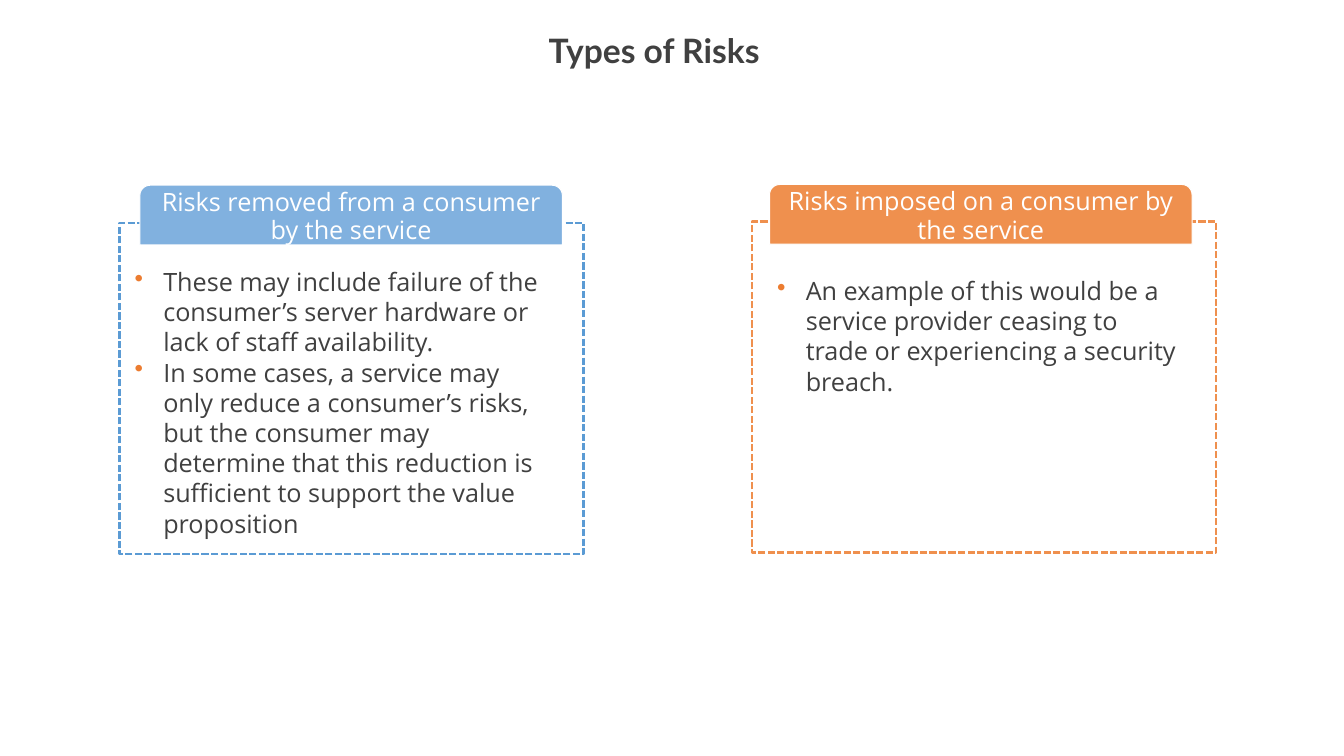
"""Build a slide comparing the two types of risk a service brings to a consumer."""
from dataclasses import dataclass

from lxml.etree import SubElement
from pptx import Presentation
from pptx.dml.color import RGBColor
from pptx.enum.dml import MSO_LINE
from pptx.enum.shapes import MSO_SHAPE
from pptx.enum.text import MSO_ANCHOR, PP_ALIGN
from pptx.oxml.ns import qn
from pptx.util import Inches, Pt


@dataclass(frozen=True)
class Theme:
    title_font: str = "Lato"
    body_font: str = "Open Sans"
    title_size: Pt = Pt(32)
    body_size: Pt = Pt(24)
    text: str = "404040"
    white: str = "FFFFFF"
    blue: str = "81B1DF"
    blue_line: str = "5B9BD4"
    orange: str = "EF904E"
    bullet: str = "EC7C30"


theme = Theme()


def style_paragraph(paragraph, name, size, color, bold=False):
    paragraph.font.name = name
    paragraph.font.size = size
    paragraph.font.bold = bold
    paragraph.font.color.rgb = RGBColor.from_string(color)


def prepare_frame(shape, side=0):
    frame = shape.text_frame
    frame.word_wrap = True
    frame.margin_top = frame.margin_bottom = 0
    frame.margin_left = frame.margin_right = Inches(side)
    return frame


presentation = Presentation()
presentation.slide_width = Inches(17.78)
presentation.slide_height = Inches(10)
slide = presentation.slides.add_slide(presentation.slide_layouts[6])

title = slide.shapes.add_textbox(Inches(7.26), Inches(0.4), Inches(3.26), Inches(0.56))
title_frame = prepare_frame(title)
title_frame.text = "Types of Risks"
style_paragraph(title_frame.paragraphs[0], theme.title_font, theme.title_size, theme.text, True)

panels = [
    {
        "heading": "Risks removed from a consumer by the service",
        "points": [
            "These may include failure of the consumer’s server hardware or lack of staff availability.",
            "In some cases, a service may only reduce a consumer’s risks, but the consumer may "
            "determine that this reduction is sufficient to support the value proposition",
        ],
        "fill": theme.blue,
        "line": theme.blue_line,
        "frame": (1.58, 2.95),
        "tab": (1.85, 2.45),
        "body": (1.77, 3.52, 5.4, 3.6),
    },
    {
        "heading": "Risks imposed on a consumer by the service",
        "points": [
            "An example of this would be a service provider ceasing to trade or experiencing "
            "a security breach.",
        ],
        "fill": theme.orange,
        "line": theme.orange,
        "frame": (9.95, 2.93),
        "tab": (10.18, 2.44),
        "body": (10.27, 3.64, 5.3, 1.6),
    },
]

for panel in panels:
    left, top = panel["frame"]
    border = slide.shapes.add_shape(
        MSO_SHAPE.RECTANGLE, Inches(left), Inches(top), Inches(6.14), Inches(4.38))
    border.shadow.inherit = False
    border.fill.background()
    border.line.color.rgb = RGBColor.from_string(panel["line"])
    border.line.width = Pt(2.28)
    border.line.dash_style = MSO_LINE.SQUARE_DOT

    left, top = panel["tab"]
    tab = slide.shapes.add_shape(
        MSO_SHAPE.ROUND_2_SAME_RECTANGLE, Inches(left), Inches(top), Inches(5.59), Inches(0.79))
    tab.adjustments[0] = 0.17
    tab.shadow.inherit = False
    tab.fill.solid()
    tab.fill.fore_color.rgb = RGBColor.from_string(panel["fill"])
    tab.line.color.rgb = RGBColor.from_string(theme.white)
    tab.line.width = Pt(0.96)
    tab_frame = prepare_frame(tab, 0.15)
    tab_frame.vertical_anchor = MSO_ANCHOR.MIDDLE
    tab_frame.text = panel["heading"]
    heading = tab_frame.paragraphs[0]
    heading.alignment = PP_ALIGN.CENTER
    heading.line_spacing = Pt(27)
    style_paragraph(heading, theme.body_font, theme.body_size, theme.white)

    body = slide.shapes.add_textbox(*(Inches(value) for value in panel["body"]))
    body_frame = prepare_frame(body)
    body_frame.text = "\n".join(panel["points"])
    for paragraph in body_frame.paragraphs:
        paragraph.line_spacing = Pt(28.8)
        properties = paragraph._p.get_or_add_pPr()
        properties.set("marL", str(Inches(0.39)))
        properties.set("indent", str(-Inches(0.38)))
        bullet_color = SubElement(properties, qn("a:buClr"))
        SubElement(bullet_color, qn("a:srgbClr"), val=theme.bullet)
        SubElement(properties, qn("a:buChar"), char="•")
        style_paragraph(paragraph, theme.body_font, theme.body_size, theme.text)

presentation.save("out.pptx")
